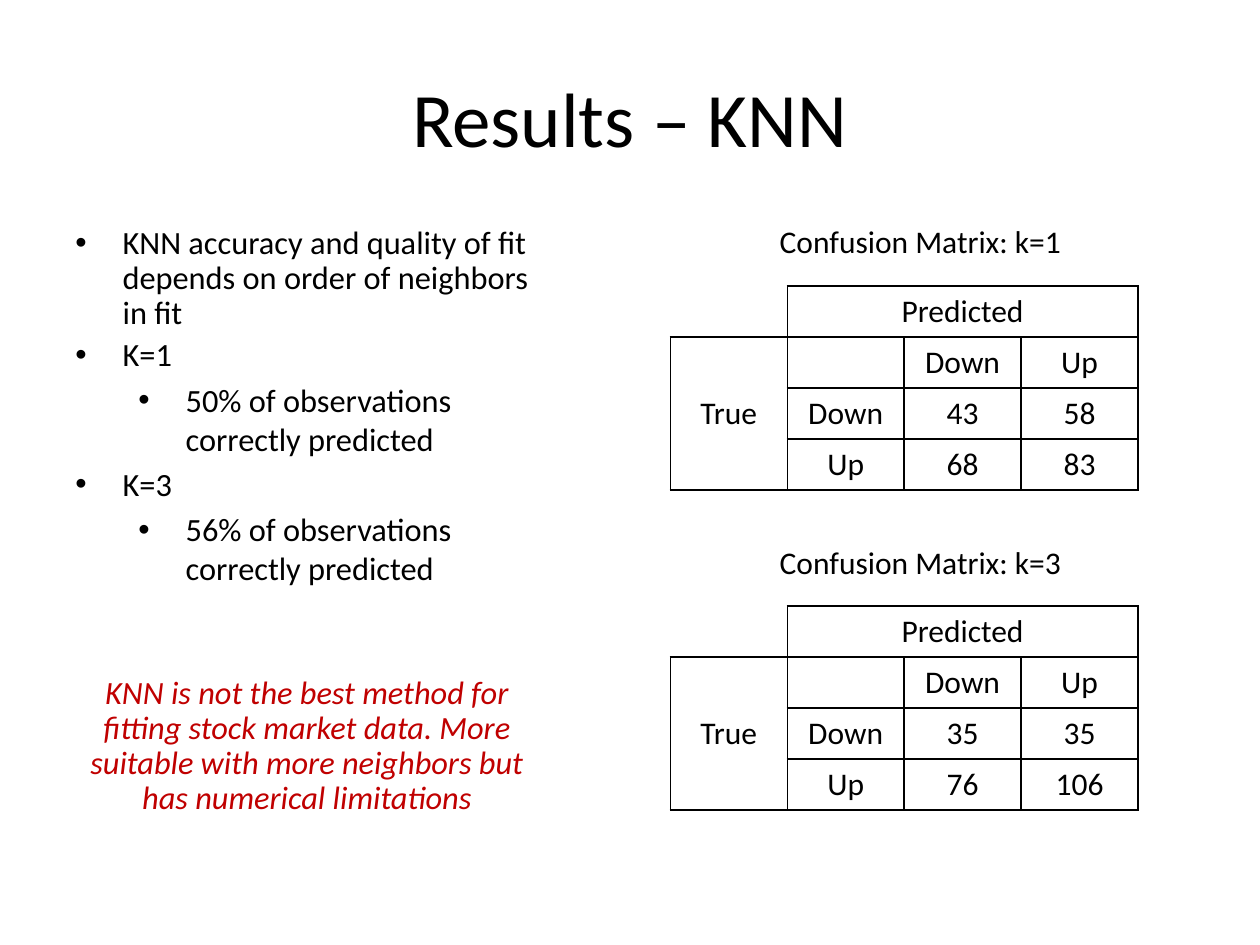
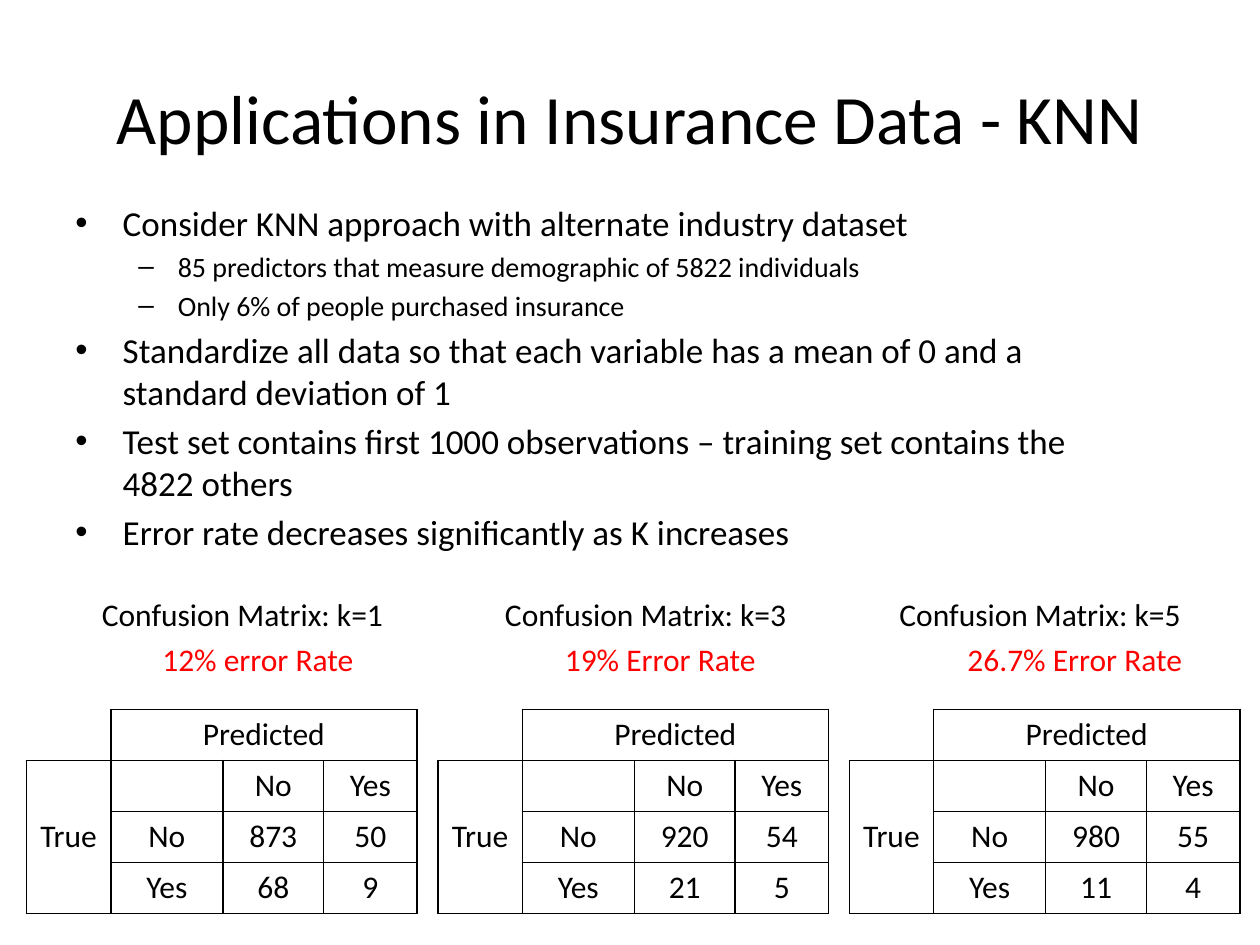
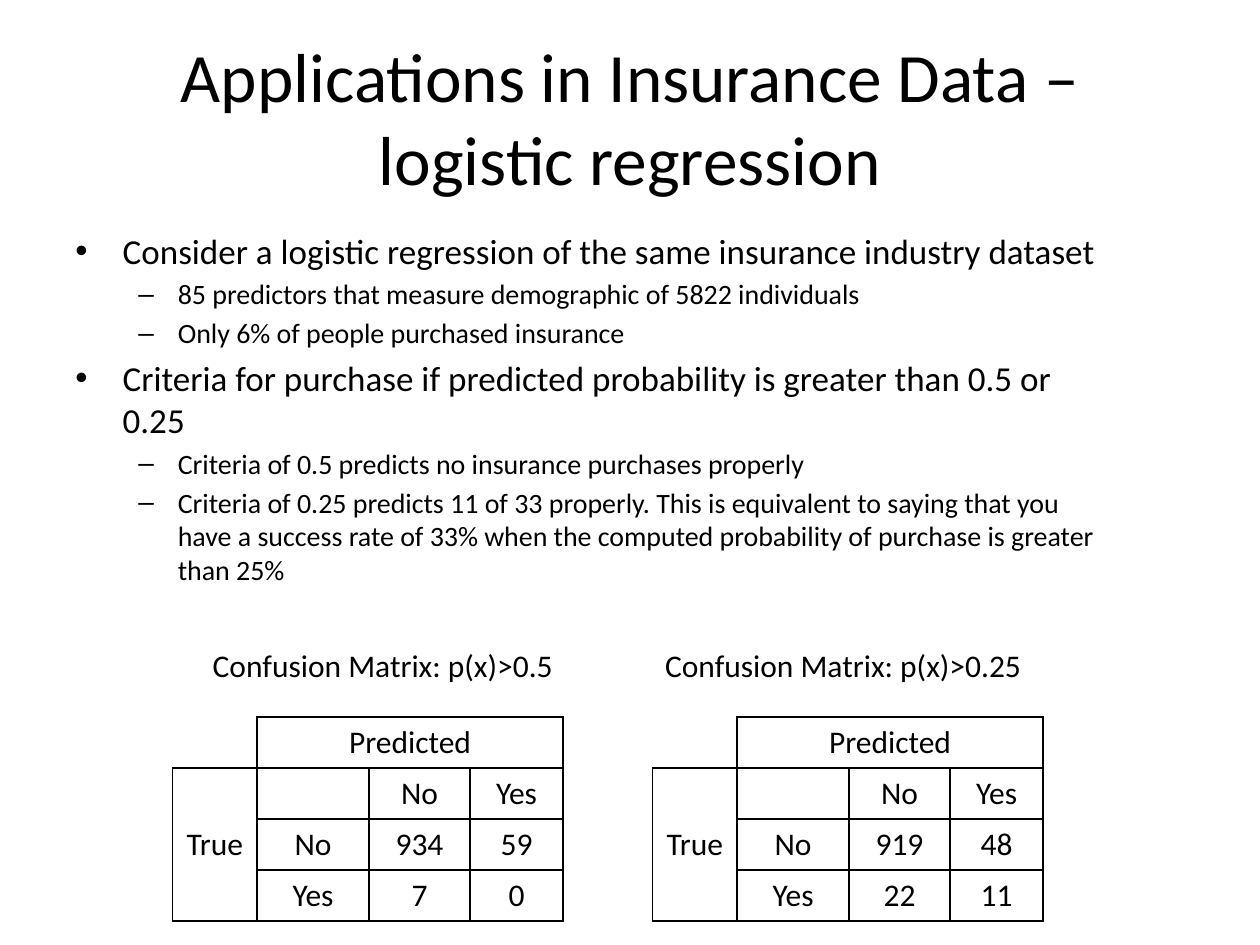
from dataclasses import dataclass

from lxml import etree
from pptx import Presentation
from pptx.dml.color import RGBColor
from pptx.enum.text import MSO_ANCHOR, MSO_AUTO_SIZE, PP_ALIGN
from pptx.oxml.ns import qn
from pptx.util import Inches, Pt

LEFT, CENTER = PP_ALIGN.LEFT, PP_ALIGN.CENTER
MIDDLE = MSO_ANCHOR.MIDDLE
FIXED = MSO_AUTO_SIZE.NONE


@dataclass(frozen=True)
class Theme:
    font: str = "Calibri"
    ink: str = "000000"
    alert: str = "FF0000"
    verdict: str = "C00000"
    big: float = 44
    long: float = 39.6
    main: float = 20
    sub: float = 16
    note: float = 18.5
    cell: float = 18
    rule: float = 1


theme = Theme()
deck = Presentation()
deck.slide_width, deck.slide_height = Inches(10), Inches(7.5)
unit = deck.slide_width // 100


def write(frame, text, size=theme.cell, color=theme.ink, align=LEFT, italic=False,
          bullet=None, level=0, inset=0, hang=0, lead=None, gap=None):
    first = not frame.text
    para = frame.paragraphs[0] if first else frame.add_paragraph()
    para.alignment, para.level = align, level
    para.line_spacing = lead
    para.space_before = Pt(0 if first else size * 0.2 if gap is None else gap)
    run = para.add_run()
    run.text = text
    run.font.name, run.font.size = theme.font, Pt(size)
    run.font.italic = italic
    run.font.color.rgb = RGBColor.from_string(color)
    if bullet:
        props = para._p.get_or_add_pPr()
        props.set("marL", str(int(inset * unit)))
        props.set("indent", str(int(-hang * unit)))
        etree.SubElement(props, qn("a:buFont")).set("typeface", "Arial")
        etree.SubElement(props, qn("a:buChar")).set("char", bullet)


def matrix(slide, x, y, widths, names, counts):
    high = 4.05
    spot = [int(v * unit) for v in (x, y, sum(widths), 4 * high)]
    grid = slide.shapes.add_table(4, 4, *spot).table
    grid.first_row = grid.horz_banding = False
    for col, wide in zip(grid.columns, widths):
        col.width = int(wide * unit)
    for row in grid.rows:
        row.height = int(high * unit)
    grid.cell(0, 1).merge(grid.cell(0, 3))
    grid.cell(1, 0).merge(grid.cell(3, 0))
    low, top = names
    words = [["", "Predicted", "", ""], ["True", "", low, top],
             ["", low, *counts[0]], ["", top, *counts[1]]]
    for r, line in enumerate(words):
        for c, word in enumerate(line):
            cell = grid.cell(r, c)
            cell.vertical_anchor = MIDDLE
            props = cell._tc.get_or_add_tcPr()
            for side in "LRTB":
                edge = etree.SubElement(props, qn(f"a:ln{side}"), w=str(Pt(theme.rule)))
                if r == c == 0 and side in "LT":
                    etree.SubElement(edge, qn("a:noFill"))
                else:
                    fill = etree.SubElement(edge, qn("a:solidFill"))
                    etree.SubElement(fill, qn("a:srgbClr"), val=theme.ink)
            cell.fill.background()
            if word != "":
                write(cell.text_frame, str(word), align=CENTER)


main = dict(size=theme.main, bullet="•", inset=3.75, hang=3.75)
dash = dict(size=theme.sub, bullet="–", level=1, inset=8.13, hang=3.13)
note = dict(main, size=theme.note)
tight = dict(note, lead=0.9)
deep = dict(note, level=1, inset=8.75)
verdict = dict(size=theme.note, color=theme.verdict, align=CENTER, italic=True,
               lead=0.9, gap=51)
even = [9.28] * 4
mixed = [6.7, 8.9, 8, 7.4]
moves, buys = ("Down", "Up"), ("No", "Yes")
head = "Confusion Matrix: "

pages = [
    dict(
        title="Results – KNN", size=theme.big, body=(5, 17.5, 38.7, 49.5),
        points=[
            ("KNN accuracy and quality of fit depends on order of neighbors in fit", tight),
            ("K=1", tight),
            ("50% of observations correctly predicted", deep),
            ("K=3", note),
            ("56% of observations correctly predicted", deep),
            ("KNN is not the best method for fitting stock market data. More suitable "
             "with more neighbors but has numerical limitations", verdict),
        ],
        labels=[(head + "k=1", 60.9, 17.1, 24.6, theme.ink),
                (head + "k=3", 60.9, 42.6, 24.6, theme.ink)],
        tables=[(53.2, 22.7, even, moves, [(43, 58), (68, 83)]),
                (53.2, 48.1, even, moves, [(35, 35), (76, 106)])],
    ),
    dict(
        title="Applications in Insurance Data - KNN", size=theme.long,
        body=(5, 15.5, 83.2, 49.5),
        points=[
            ("Consider KNN approach with alternate industry dataset", main),
            ("85 predictors that measure demographic of 5822 individuals", dash),
            ("Only 6% of people purchased insurance", dash),
            ("Standardize all data so that each variable has a mean of 0 and a "
             "standard deviation of 1", main),
            ("Test set contains first 1000 observations – training set contains "
             "the 4822 others", main),
            ("Error rate decreases significantly as K increases", main),
        ],
        labels=[(head + f"k={k}", x, 46.7, 24.6, theme.ink)
                for k, x in ((1, 7.1), (3, 39.1), (5, 70.4))]
        + [(rate + " Rate", 11.9 + 31.95 * i, 50.3, wide, theme.alert)
           for i, (rate, wide) in enumerate(
               [("12% error", 17.4), ("19% Error", 17.3), ("26.7% Error", 19.2)])],
        tables=[(2.1 + 32.65 * i, 56.3, mixed, buys, counts)
                for i, counts in enumerate([[(873, 50), (68, 9)],
                                            [(920, 54), (21, 5)],
                                            [(980, 55), (11, 4)]])],
    ),
    dict(
        title="Applications in Insurance Data – logistic regression", size=theme.long,
        body=(5, 17.7, 83.2, 47.3),
        points=[
            ("Consider a logistic regression of the same insurance industry dataset", main),
            ("85 predictors that measure demographic of 5822 individuals", dash),
            ("Only 6% of people purchased insurance", dash),
            ("Criteria for purchase if predicted probability is greater than 0.5 or 0.25",
             main),
            ("Criteria of 0.5 predicts no insurance purchases properly", dash),
            ("Criteria of 0.25 predicts 11 of 33 properly. This is equivalent to saying "
             "that you have a success rate of 33% when the computed probability of "
             "purchase is greater than 25%", dash),
        ],
        labels=[(head + "p(x)>0.5", 15.9, 50.8, 29.3, theme.ink),
                (head + "p(x)>0.25", 51.8, 50.8, 30.6, theme.ink)],
        tables=[(13.7, 56.9, mixed, buys, [(934, 59), (7, 0)]),
                (51.8, 56.9, mixed, buys, [(919, 48), (22, 11)])],
    ),
]

for page in pages:
    slide = deck.slides.add_slide(deck.slide_layouts[5])
    title = slide.shapes.title
    title.left, title.top, title.width, title.height = [
        int(v * unit) for v in (5, 3, 90, 12.5)]
    title.text_frame.auto_size = FIXED
    title.text_frame.vertical_anchor = MIDDLE
    write(title.text_frame, page["title"], size=page["size"], align=CENTER)

    body = slide.shapes.add_textbox(*[int(v * unit) for v in page["body"]]).text_frame
    body.word_wrap = True
    for text, style in page["points"]:
        write(body, text, **style)

    for table in page["tables"]:
        matrix(slide, *table)

    for text, x, y, wide, color in page["labels"]:
        spot = [int(v * unit) for v in (x, y, wide, 4)]
        label = slide.shapes.add_textbox(*spot).text_frame
        label.word_wrap = False
        write(label, text, color=color)

deck.save("out.pptx")
